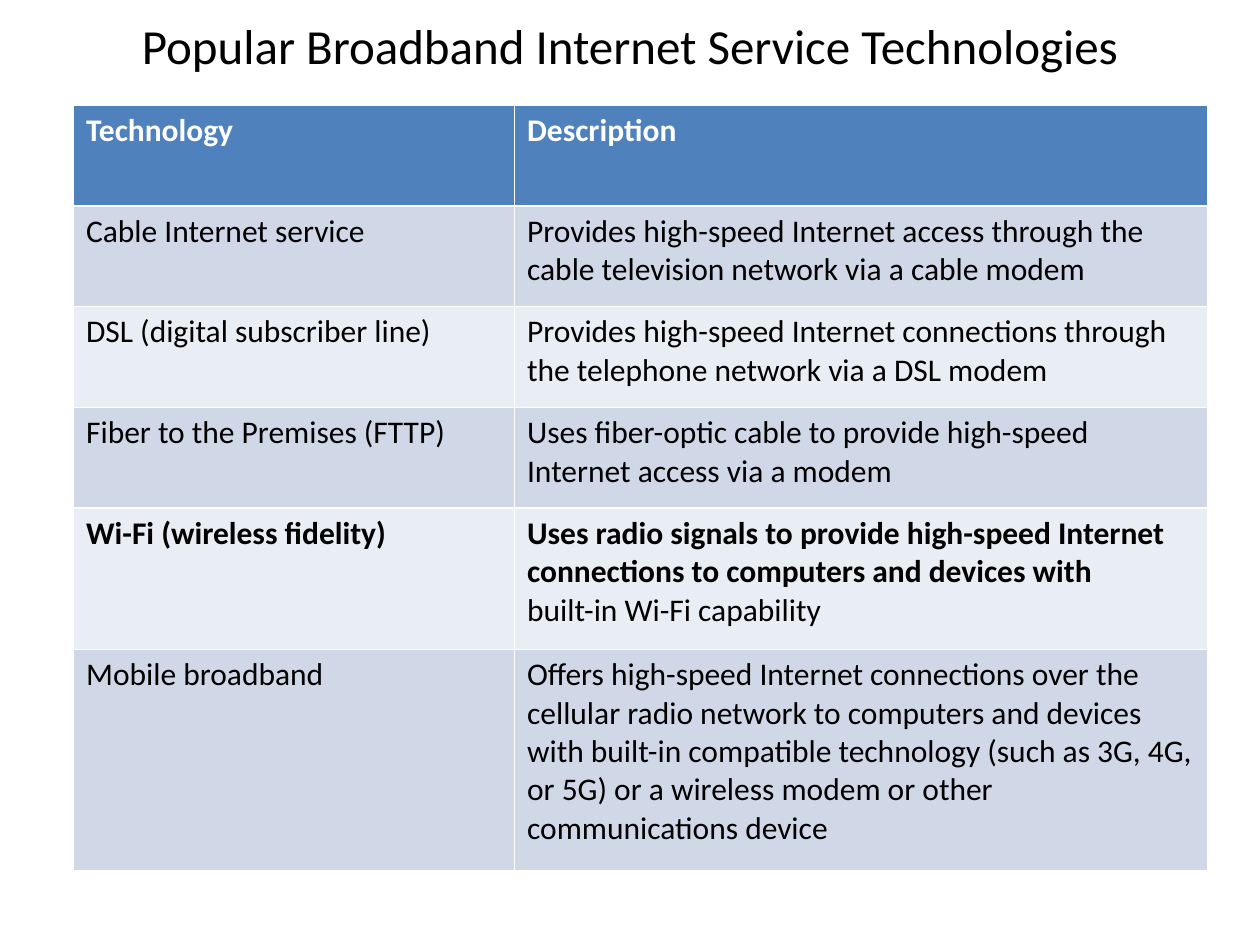
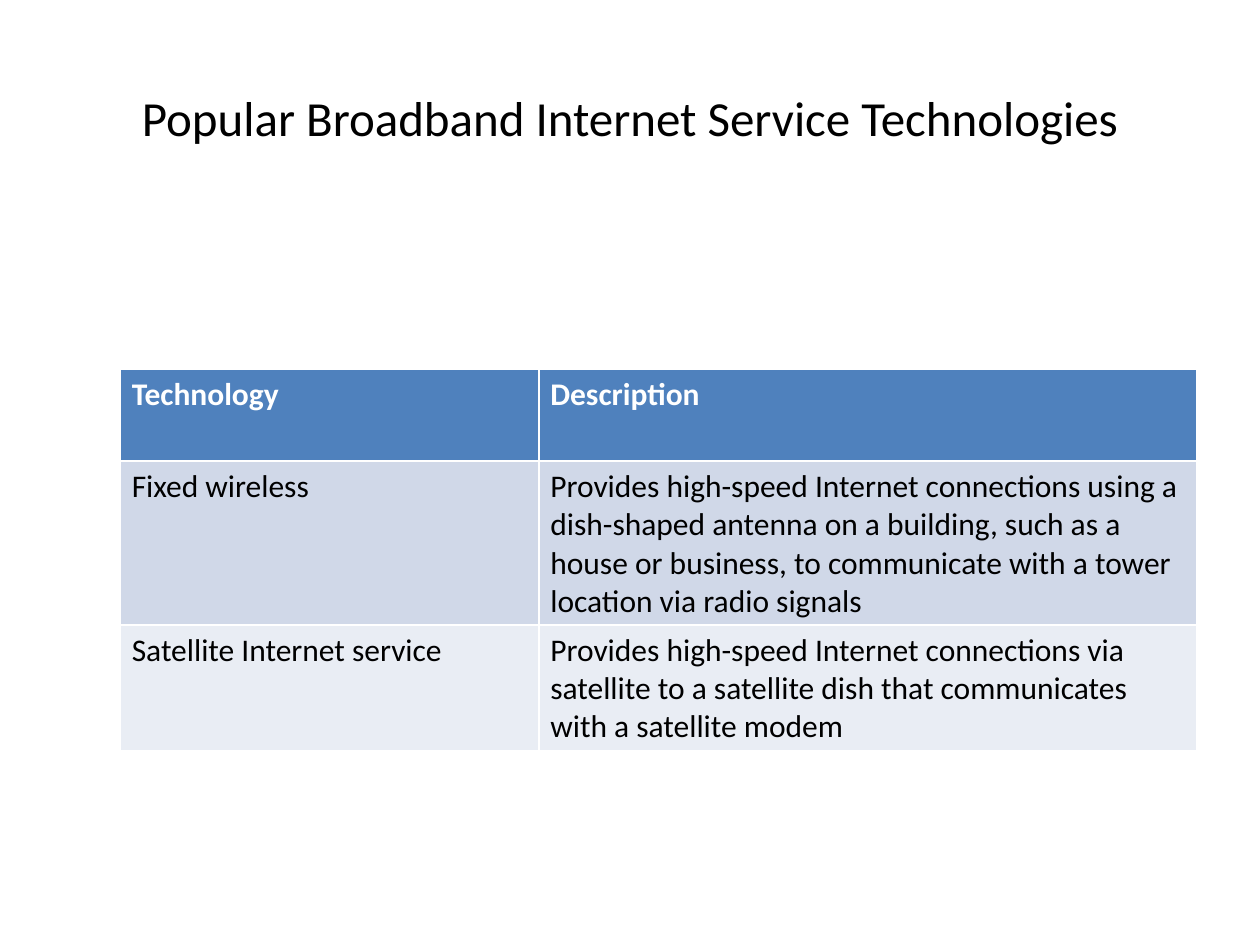
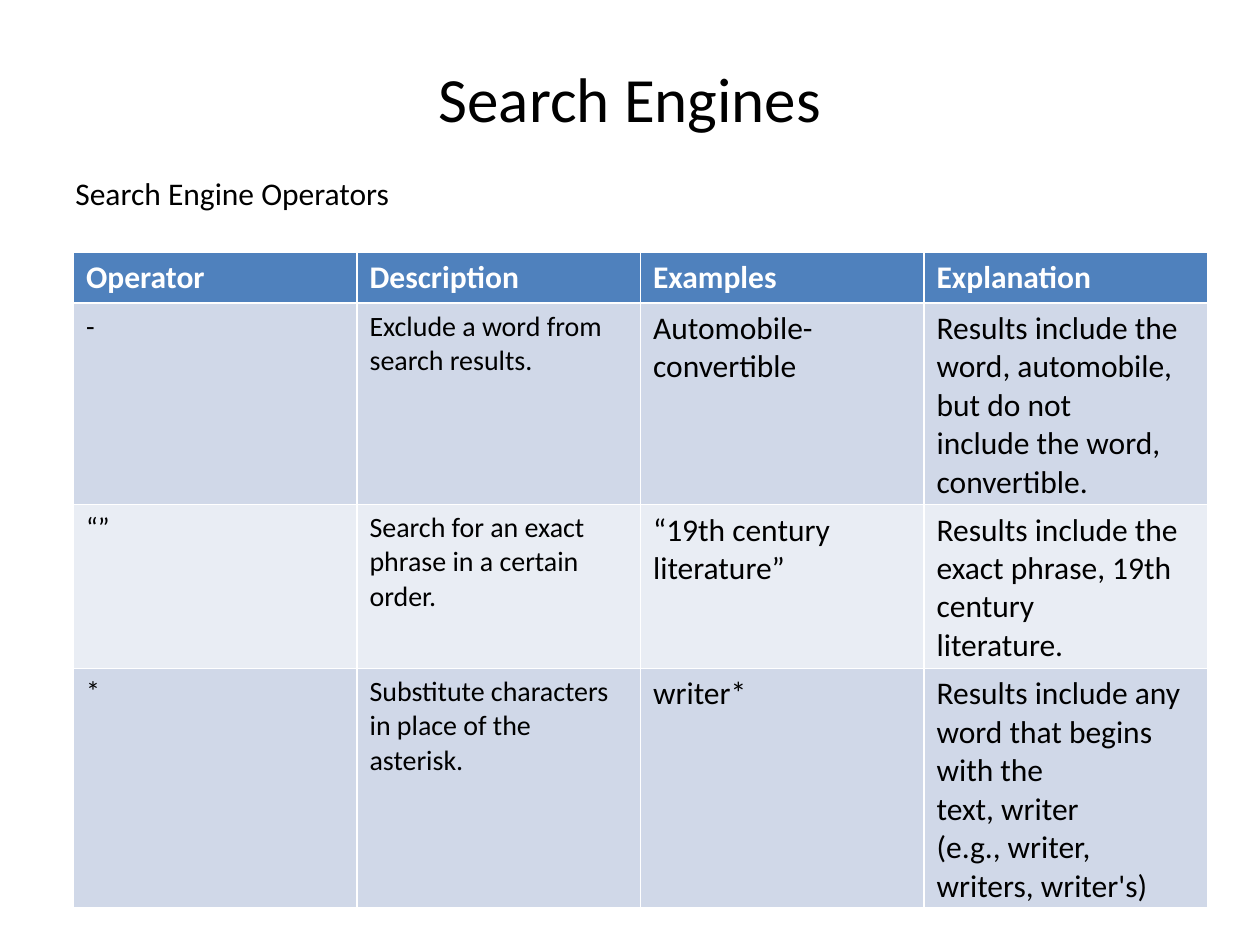
from pptx import Presentation
from pptx.dml.color import RGBColor
from pptx.enum import text
from pptx.util import Pt

FONT = "Calibri"
BLACK, WHITE = "000000", "FFFFFF"
HEADER_FILL = "4F81BD"
BAND_FILLS = ["D0D8E8", "E9EDF4"]


def style(font, size, colour, bold=False):
    font.name = FONT
    font.size = Pt(size)
    font.color.rgb = RGBColor.from_string(colour)
    font.bold = bold


def add_text(page, wording, left, top, width, height, size, align, anchor):
    box = page.shapes.add_textbox(Pt(left), Pt(top), Pt(width), Pt(height))
    frame = box.text_frame
    frame.word_wrap = True
    frame.vertical_anchor = anchor
    para = frame.paragraphs[0]
    para.text = wording
    para.alignment = align
    style(para.font, size, BLACK)


broadband_title = "Popular Broadband Internet Service Technologies"
broadband_header = ["Technology", "Description"]
bold_lines = {
    "Wi-Fi (wireless fidelity)",
    "Uses radio signals to provide high-speed Internet connections to computers and devices with",
}

slides = [
    {
        "title": broadband_title, "title_top": 9.4, "title_height": 32.4, "title_size": 28,
        "left": 42, "top": 60, "margins": (7.2, 3.6),
        "widths": [252, 396], "heights": [57.6] * 4 + [80.6, 126.7], "sizes": [18, 18],
        "rows": [
            broadband_header,
            ["Cable Internet service",
             "Provides high-speed Internet access through the cable television network via a cable modem"],
            ["DSL (digital subscriber line)",
             "Provides high-speed Internet connections through the telephone network via a DSL modem"],
            ["Fiber to the Premises (FTTP)",
             "Uses fiber-optic cable to provide high-speed Internet access via a modem"],
            ["Wi-Fi (wireless fidelity)",
             "Uses radio signals to provide high-speed Internet connections to computers and devices with\n"
             "built-in Wi-Fi capability"],
            ["Mobile broadband",
             "Offers high-speed Internet connections over the cellular radio network to computers and devices\n"
             "with built-in compatible technology (such as 3G, 4G, or 5G) or a wireless modem or other\n"
             "communications device"],
        ],
    },
    {
        "title": broadband_title, "title_top": 21.6, "title_height": 90, "title_size": 28,
        "left": 68.8, "top": 211, "margins": (6.5, 3.6),
        "widths": [239.2, 376], "heights": [52.4] * 3, "sizes": [18, 18],
        "rows": [
            broadband_header,
            ["Fixed wireless",
             "Provides high-speed Internet connections using a dish-shaped antenna on a building, such as a\n"
             "house or business, to communicate with a tower location via radio signals"],
            ["Satellite Internet service",
             "Provides high-speed Internet connections via satellite to a satellite dish "
             "that communicates with a satellite modem"],
        ],
    },
    {
        "title": "Search Engines", "title_top": 21.6, "title_height": 68.4, "title_size": 36,
        "left": 42, "top": 144, "margins": (7.2, 3.6),
        "widths": [162] * 4, "heights": [29.2] * 4, "sizes": [16, 16, 18, 18],
        "rows": [
            ["Operator", "Description", "Examples", "Explanation"],
            ["-", "Exclude a word from search results.", "Automobile-convertible",
             "Results include the word, automobile, but do not\ninclude the word, convertible."],
            ["“”", "Search for an exact phrase in a certain order.", "“19th century\nliterature”",
             "Results include the exact phrase, 19th century\nliterature."],
            ["*", "Substitute characters in place of the asterisk.", "writer*",
             "Results include any word that begins with the\ntext, writer\n(e.g., writer, writers, writer's)"],
        ],
    },
]

deck = Presentation()
deck.slide_width, deck.slide_height = Pt(720), Pt(540)

for slide in slides:
    page = deck.slides.add_slide(deck.slide_layouts[6])
    add_text(page, slide["title"], 36, slide["title_top"], 648, slide["title_height"],
             slide["title_size"], text.PP_ALIGN.CENTER, text.MSO_ANCHOR.MIDDLE)

    widths, heights = slide["widths"], slide["heights"]
    table = page.shapes.add_table(len(heights), len(widths), Pt(slide["left"]), Pt(slide["top"]),
                                  Pt(sum(widths)), Pt(sum(heights))).table
    for column, width in zip(table.columns, widths):
        column.width = Pt(width)
    side, edge = slide["margins"]
    for r, (row, height) in enumerate(zip(slide["rows"], heights)):
        table.rows[r].height = Pt(height)
        header = r == 0
        fill = HEADER_FILL if header else BAND_FILLS[(r - 1) % 2]
        for c, wording in enumerate(row):
            cell = table.cell(r, c)
            cell.text = wording
            cell.margin_left = cell.margin_right = Pt(side)
            cell.margin_top = cell.margin_bottom = Pt(edge)
            cell.fill.solid()
            cell.fill.fore_color.rgb = RGBColor.from_string(fill)
            for para in cell.text_frame.paragraphs:
                style(para.font, 18 if header else slide["sizes"][c],
                      WHITE if header else BLACK, header or para.text in bold_lines)

add_text(page, "Search Engine Operators", 36, 95.8, 240, 28.8, 18,
         text.PP_ALIGN.LEFT, text.MSO_ANCHOR.TOP)

deck.save("out.pptx")
